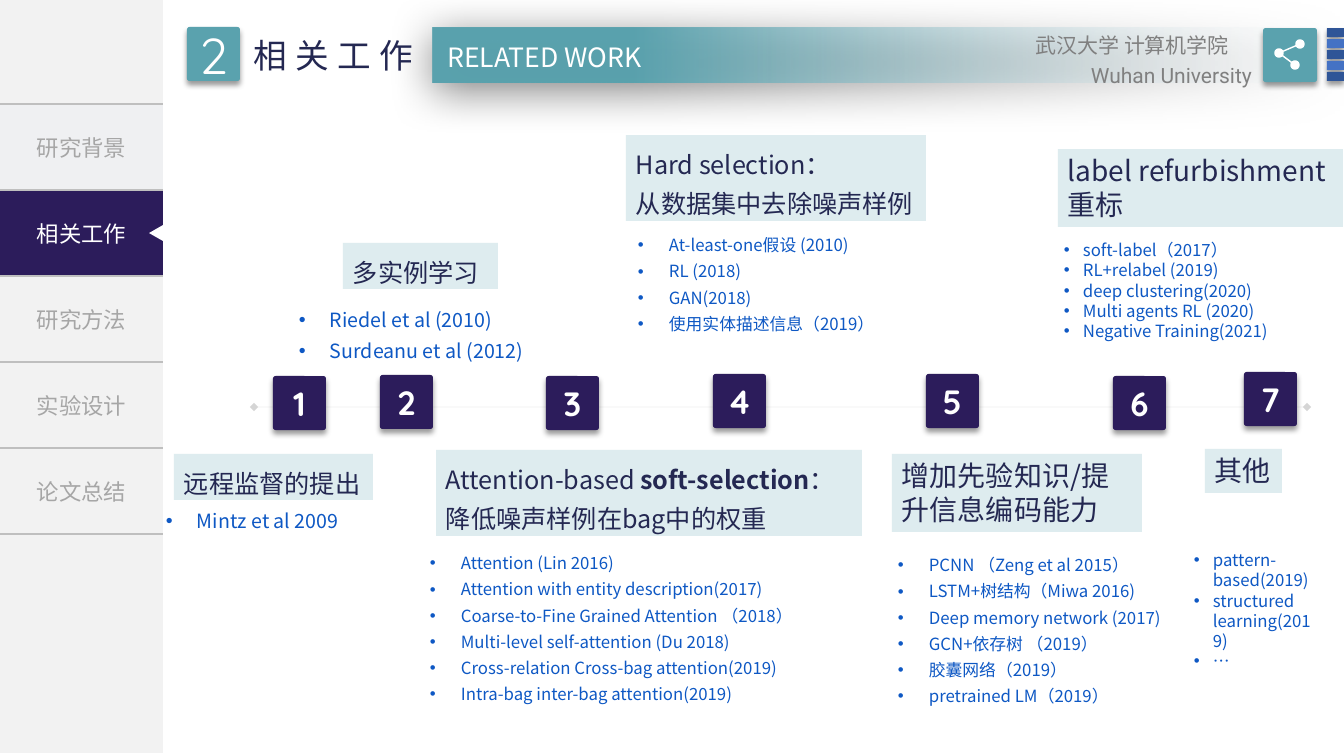
import math

from lxml import etree
from pptx import Presentation
from pptx import util as u
from pptx.dml.color import RGBColor
from pptx.enum import shapes, text
from pptx.oxml.ns import qn

PX = u.Inches(1) / 100.8
CJK = "Noto Sans CJK SC"
COLORS = {
    "white": "FFFFFF", "black": "000000", "sidebar": "F2F2F2", "first_tab": "EFF0F2",
    "rule": "BFBFBF", "muted": "A6A6A6", "grey": "808080", "purple": "2C1C5B",
    "teal": "5AA2AE", "fade": "F6F7FB", "label": "DEECEF", "navy": "242852",
    "link": "0E58C4", "bar": "4472C4", "dark_bar": "2F5597",
}
LEFT, CENTER, RIGHT = text.PP_ALIGN.LEFT, text.PP_ALIGN.CENTER, text.PP_ALIGN.RIGHT
KIND = shapes.MSO_SHAPE
SOFT_SHADOW = (40, 4, 3, 90)  # opacity %, blur pt, distance pt, angle


def px(length):
    return u.Emu(round(length * PX))


def rgb(name):
    return RGBColor.from_string(COLORS[name])


def add(parent, tag, **attributes):
    return etree.SubElement(parent, qn(tag), {k: str(v) for k, v in attributes.items()})


def add_color(parent, name, opacity=100):
    color = add(parent, "a:srgbClr", val=COLORS[name])
    if opacity < 100:
        add(color, "a:alpha", val=opacity * 1000)


class Deck:
    def __init__(self):
        self.presentation = Presentation()
        self.presentation.slide_width, self.presentation.slide_height = px(1344), px(756)
        self.slide = self.presentation.slides.add_slide(self.presentation.slide_layouts[6])
        self.shapes = self.slide.shapes

    def shape(self, box, color, kind=KIND.RECTANGLE, shadow=None, rotation=0):
        item = self.shapes.add_shape(kind, *map(px, box))
        item.rotation = rotation
        if kind == KIND.ROUNDED_RECTANGLE:
            item.adjustments[0] = 0.05
        self.finish(item, color, shadow)
        return item

    def finish(self, item, color, shadow=None):
        item.fill.solid()
        item.fill.fore_color.rgb = rgb(color)
        item.line.fill.background()
        item.shadow.inherit = False
        if shadow:
            opacity, blur, distance, angle = shadow
            effects = item._element.spPr.find(qn("a:effectLst"))
            outer = add(effects, "a:outerShdw", blurRad=u.Pt(blur), dist=u.Pt(distance),
                        dir=angle * 60000, algn="t", rotWithShape=0)
            add_color(outer, "black", opacity)

    def gradient(self, box, shadow):
        item = self.shape(box, "teal", shadow=shadow)
        item.fill.gradient()
        item.fill.gradient_angle = 180
        for stop, name, position in zip(item.fill.gradient_stops, ("fade", "teal"), (0, 0.78)):
            stop.color.rgb, stop.position = rgb(name), position
        clear_stop = item._element.spPr.find(".//" + qn("a:gs"))
        add(clear_stop[0], "a:alpha", val=0)

    def run(self, paragraph, words, size, color, font=CJK, bold=False, tracking=0):
        run = paragraph.add_run()
        run.text = words
        run.font.size, run.font.bold, run.font.name = u.Pt(size), bold, font
        run.font.color.rgb = rgb(color)
        properties = run._r.get_or_add_rPr()
        add(properties, "a:ea", typeface=CJK)
        if tracking:
            properties.set("spc", str(tracking * 100))

    def fill_text(self, item, paragraphs, size, color, align=LEFT, spacing=1.0, wrap=True,
                  hang=0, middle=False, **style):
        frame = item.text_frame
        frame.word_wrap = wrap
        frame.vertical_anchor = text.MSO_ANCHOR.MIDDLE if middle else text.MSO_ANCHOR.TOP
        if not middle:
            frame.auto_size = text.MSO_AUTO_SIZE.SHAPE_TO_FIT_TEXT
        for index, words in enumerate(paragraphs):
            paragraph = frame.add_paragraph() if index else frame.paragraphs[0]
            if hang:
                properties = paragraph._p.get_or_add_pPr()
                properties.set("marL", str(px(hang)))
                properties.set("indent", str(-px(hang)))
                add(properties, "a:buFont", typeface="Arial")
                add(properties, "a:buChar", char="•")
            paragraph.alignment, paragraph.line_spacing = align, spacing
            # Every second piece between asterisks is bold
            for part, piece in enumerate(words.split("*")):
                self.run(paragraph, piece, size, color, **{"bold": part % 2 == 1, **style})

    def text(self, box, paragraphs, size, color, **style):
        self.fill_text(self.shapes.add_textbox(*map(px, box)), paragraphs, size, color, **style)

    def label(self, box, paragraphs, size, spacing, wrap):
        self.fill_text(self.shape(box, "label"), paragraphs, size, "navy",
                       spacing=spacing, wrap=wrap)

    def badge(self, x, y, number, color, size, bold):
        item = self.shape((x, y, 53, 54), color, KIND.ROUNDED_RECTANGLE, SOFT_SHADOW)
        self.fill_text(item, [number], size, "white", align=CENTER, middle=True,
                       font="Quicksand", bold=bold)

    def timeline(self, left, right, y):
        line = self.shapes.add_connector(shapes.MSO_CONNECTOR.STRAIGHT,
                                         px(left), px(y), px(right), px(y))
        line.line.width = u.Pt(0.25)
        line.line.color.rgb = rgb("grey")
        outline = line._element.spPr.find(qn("a:ln"))
        add(outline.find(".//" + qn("a:srgbClr")), "a:alpha", val=33000)
        add(outline, "a:headEnd", type="diamond")
        add(outline, "a:tailEnd", type="diamond")
        add(line._element.spPr, "a:effectLst")

    def navigation(self, box, tabs, active):
        table = self.shapes.add_table(len(tabs), 1, *map(px, box)).table
        table.first_row = table.horz_banding = False
        for index, name in enumerate(tabs):
            cell = table.cell(index, 0)
            properties = cell._tc.get_or_add_tcPr()
            for side in "LRTB":
                border = add(properties, f"a:ln{side}", w=u.Pt(1))
                if side in "LR":
                    add(border, "a:noFill")
                else:
                    add_color(add(border, "a:solidFill"), "rule")
            cell.fill.solid()
            cell.fill.fore_color.rgb = rgb(
                "purple" if index == active else "sidebar" if index else "first_tab")
            cell.vertical_anchor = text.MSO_ANCHOR.MIDDLE
            paragraph = cell.text_frame.paragraphs[0]
            paragraph.alignment = CENTER
            self.run(paragraph, name, 16, "white" if index == active else "muted")

    def share_icon(self, hub, upper, lower, radius=4.7, gap=0.15):
        up = math.atan2(upper[1] - hub[1], upper[0] - hub[0])
        down = math.atan2(lower[1] - hub[1], lower[0] - hub[0])
        turn = math.pi
        arcs = [(upper, up + turn, up + 3 * turn), (hub, up, down),
                (lower, down + turn, down + 3 * turn), (hub, down, up + 2 * turn)]
        points = []
        for (x, y), start, end in arcs:
            for step in range(25):
                angle = start + gap + (end - start - 2 * gap) * step / 24
                points.append((px(x + radius * math.cos(angle)),
                               px(y + radius * math.sin(angle))))
        outline = self.shapes.build_freeform(*points[0], scale=1.0)
        outline.add_line_segments(points[1:], close=True)
        self.finish(outline.convert_to_shape(), "white")


def main():
    deck = Deck()

    # Sidebar
    deck.shape((0, 0, 163, 753), "sidebar")
    deck.navigation((0, 104, 163, 430),
                    ["研究背景", "相关工作", "研究方法", "实验设计", "论文总结"], active=1)
    deck.shape((148, 226, 16, 14), "white", KIND.ISOSCELES_TRIANGLE, rotation=270)

    # Header
    deck.gradient((433, 28, 911, 54), (50, 31, 6, 97))
    deck.badge(187, 27, "2", "teal", 36, False)
    deck.text((431, 36, 227, 42), ["RELATED WORK"], 19, "white", align=CENTER, wrap=False)
    deck.text((244, 30, 190, 50), ["相关工作"], 24, "navy", wrap=False, tracking=6)
    for index in range(5):
        deck.shape((1327, 28 + 11 * index, 17, 9), "bar" if index % 2 else "dark_bar",
                   KIND.ROUNDED_RECTANGLE, SOFT_SHADOW)
    deck.shape((1263, 28, 54, 54), "teal", KIND.ROUNDED_RECTANGLE, SOFT_SHADOW)
    deck.share_icon(hub=(1279, 53), upper=(1300, 44), lower=(1295, 65))
    deck.text((1000, 28, 239, 40), ["武汉大学 计算机学院"], 15, "grey", align=RIGHT)
    deck.text((1023, 58, 239, 34), ["Wuhan University"], 15, "grey", align=RIGHT, font="Roboto")

    # Timeline
    deck.timeline(254, 1307, 407)
    stops = [(273, 376), (380, 375), (546, 376), (713, 374), (926, 374), (1113, 376), (1244, 372)]
    for number, (x, y) in enumerate(stops, 1):
        deck.badge(x, y, str(number), "purple", 24, True)

    # Topic labels: box, paragraphs, size, line spacing, wrap
    topics = [
        ((174, 454, 199, 46), ["远程监督的提出"], 18, 1.3, False),
        ((343, 243, 155, 46), ["多实例学习"], 18, 1.3, True),
        ((436, 450, 426, 86), ["Attention-based *soft-selection*：降低噪声样例在bag中的权重"], 18, 1.3, True),
        ((626, 135, 300, 86), ["Hard selection：", "从数据集中去除噪声样例"], 18, 1.3, False),
        ((892, 454, 250, 78), ["增加先验知识/提升信息编码能力"], 20, 1.0, True),
        ((1058, 149, 285, 78), ["label refurbishment", "重标"], 20, 1.0, False),
        ((1205, 449, 77, 44), ["其他"], 20, 1.0, False),
    ]
    for topic in topics:
        deck.label(*topic)

    # Papers under each topic: box, entries, size, line spacing, hanging indent
    papers = [
        ((156, 497, 221, 38), ["Mintz et al 2009"], 14, 1.3, 31),
        ((289, 296, 277, 68), ["Riedel et al (2010)", "Surdeanu et al (2012)"], 14, 1.3, 31),
        ((420, 542, 473, 192),
         ["Attention (Lin 2016)", "Attention with entity description(2017)",
          "Coarse-to-Fine Grained Attention （2018）", "Multi-level self-attention (Du 2018)",
          "Cross-relation Cross-bag attention(2019)", "Intra-bag inter-bag attention(2019)"],
         12, 1.3, 31),
        ((628, 224, 298, 114),
         ["At-least-one假设 (2010)", "RL (2018)", "GAN(2018)", "使用实体描述信息（2019）"],
         12, 1.3, 31),
        ((888, 544, 395, 166),
         ["PCNN （Zeng et al 2015）", "LSTM+树结构（Miwa 2016)", "Deep memory network (2017)",
          "GCN+依存树 （2019）", "胶囊网络（2019）", "pretrained LM（2019）"], 12, 1.3, 31),
        ((1054, 235, 253, 112),
         ["soft-label（2017）", "RL+relabel (2019)", "deep clustering(2020)",
          "Multi agents RL (2020)", "Negative Training(2021)"], 12, 1.0, 19),
        ((1184, 545, 146, 132),
         ["pattern-based(2019)", "structured learning(2019)", "…"], 12, 1.0, 19),
    ]
    for box, entries, size, spacing, hang in papers:
        deck.text(box, entries, size, "link", spacing=spacing, hang=hang)

    deck.presentation.save("out.pptx")


if __name__ == "__main__":
    main()
